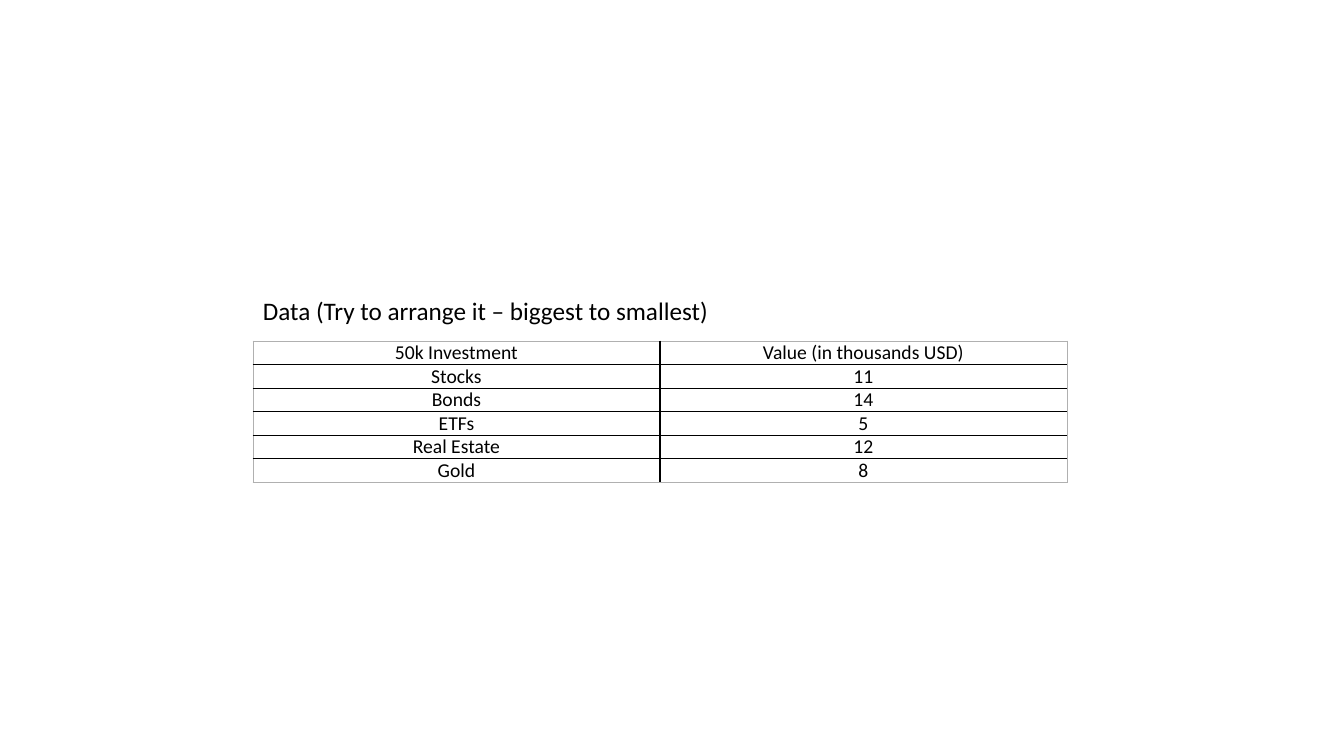
from lxml import etree
from pptx import Presentation
from pptx.dml.color import RGBColor
from pptx.enum.text import MSO_ANCHOR, PP_ALIGN
from pptx.oxml.ns import qn
from pptx.util import Pt

PX = 914400 / 100.8
BLACK = RGBColor(0x00, 0x00, 0x00)
GRAY = RGBColor(0xB0, 0xB0, 0xB0)
WHITE = RGBColor(0xFF, 0xFF, 0xFF)
CENTER = PP_ALIGN.CENTER
MIDDLE = MSO_ANCHOR.MIDDLE
ROWS = [
    ("50k Investment", "Value (in thousands USD)"),
    ("Stocks", "11"),
    ("Bonds", "14"),
    ("ETFs", "5"),
    ("Real Estate", "12"),
    ("Gold", "8"),
]


def px(n):
    return round(n * PX)


def add_text(p, text, size):
    r = p.add_run()
    r.text = text
    r.font.name = "Calibri"
    r.font.size = Pt(size)
    r.font.bold = False
    r.font.color.rgb = BLACK


prs = Presentation()
prs.slide_width, prs.slide_height = px(1344), px(756)
s = prs.slides.add_slide(prs.slide_layouts[6])

# Heading
tf = s.shapes.add_textbox(px(253), px(290), px(550), px(41)).text_frame
tf.word_wrap = True
add_text(tf.paragraphs[0], "Data (Try to arrange it – biggest to smallest)", 18)

# Investment table
last_row, last_col = len(ROWS) - 1, len(ROWS[0]) - 1
tbl = s.shapes.add_table(len(ROWS), len(ROWS[0]), px(253), px(341), px(814), px(141)).table
tbl.first_row = tbl.horz_banding = False
for col in tbl.columns:
    col.width = px(407)
for i, values in enumerate(ROWS):
    tbl.rows[i].height = px(22)
    for j, value in enumerate(values):
        cell = tbl.cell(i, j)
        cell.margin_left = cell.margin_right = cell.margin_top = cell.margin_bottom = 0
        cell.vertical_anchor = MIDDLE
        p = cell.text_frame.paragraphs[0]
        p.alignment = CENTER
        add_text(p, value, 14)

        # Gray outer edges, black inner lines, heavier line under the header
        outer = {"L": j == 0, "R": j == last_col, "T": i == 0, "B": i == last_row}
        for side, is_outer in outer.items():
            under_header = (i, side) in ((0, "B"), (1, "T"))
            width = 0.5 if is_outer else 1.5 if under_header else 1
            ln = etree.SubElement(cell._tc.get_or_add_tcPr(), qn(f"a:ln{side}"), w=str(Pt(width)))
            fill = etree.SubElement(ln, qn("a:solidFill"))
            etree.SubElement(fill, qn("a:srgbClr"), val=str(GRAY if is_outer else BLACK))
        cell.fill.solid()
        cell.fill.fore_color.rgb = WHITE

prs.save("out.pptx")
